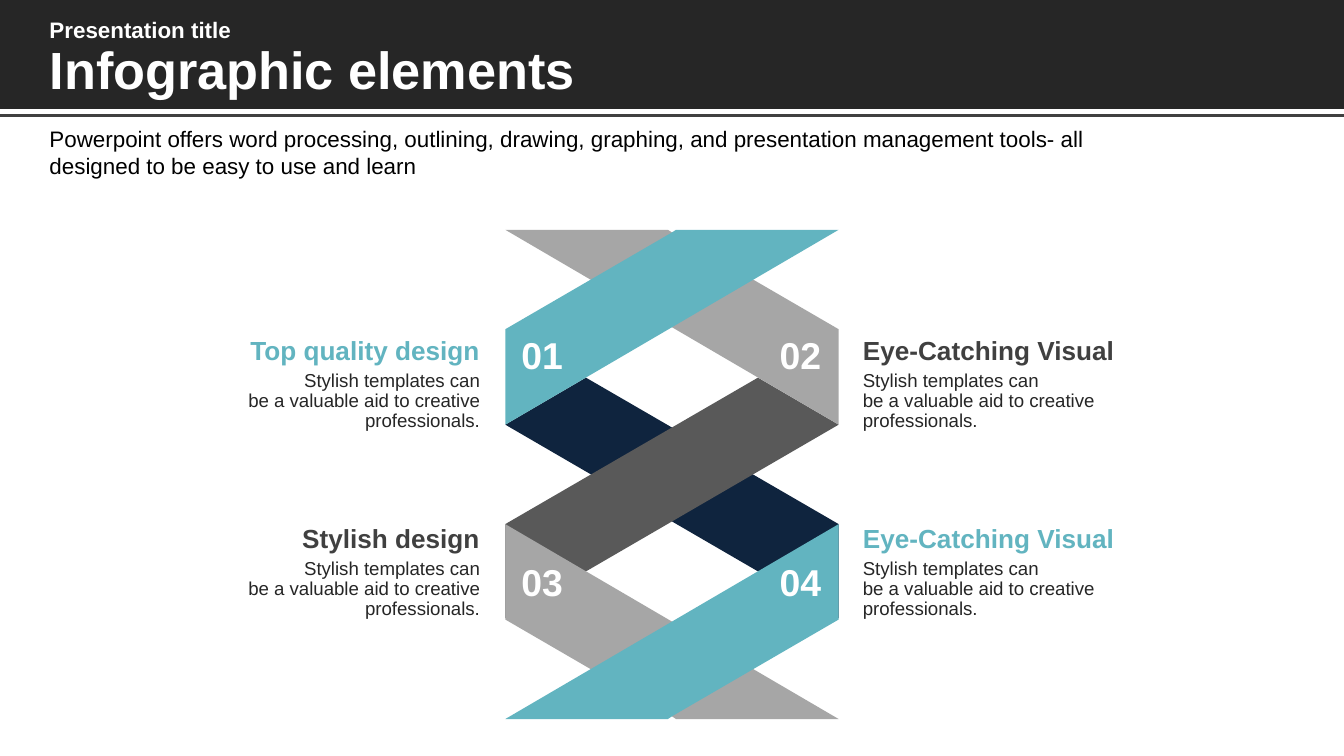
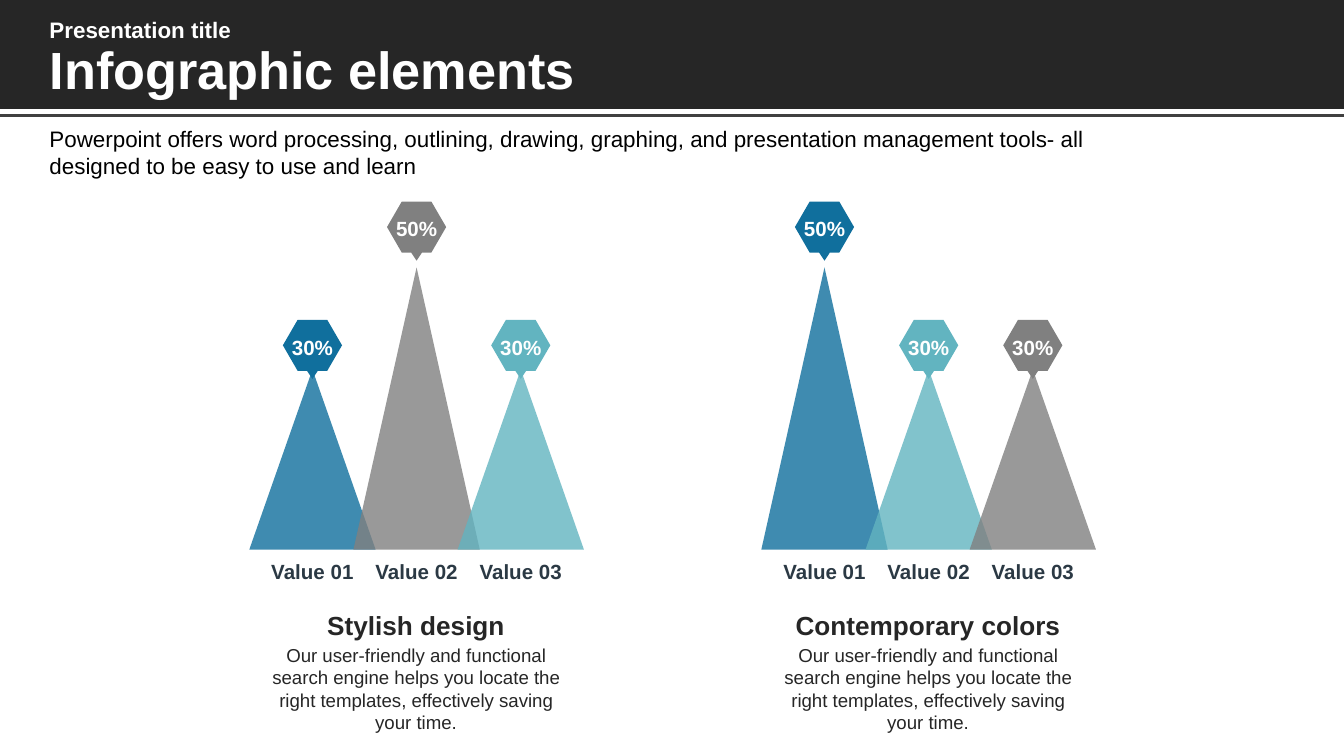
"""Build two infographic slides: a woven ribbon and a pair of peak charts."""
import pptx
import pptx.dml.color
import pptx.enum.shapes
import pptx.enum.text
import pptx.oxml.ns
import pptx.util
from lxml import etree

Inches = pptx.util.Inches
Align = pptx.enum.text.PP_ALIGN
Shape = pptx.enum.shapes.MSO_SHAPE
qn = pptx.oxml.ns.qn

FONT = "Arial"
HUES = {
    "white": "FFFFFF", "black": "000000", "ink": "262626", "slate": "404040",
    "steel": "2B3944", "navy": "0F243E", "stone": "595959", "silver": "A6A6A6",
    "gray": "808080", "teal": "62B4C0", "blue": "106F9D",
}
INTRO = ("Powerpoint offers word processing, outlining, drawing, graphing, and "
         "presentation management tools- all designed to be easy to use and learn")
CLAIM = "Stylish templates can\nbe a valuable aid to creative professionals."
STORY = ("Our user-friendly and functional search engine helps you locate the "
         "right templates, effectively saving your time.")

TOP_ARM = [(5, 1.73), (5.03, 1.71), (6.24, 1.71), (3.76, 3.16), (3.76, 2.45)]
MID_ARM = [(5.64, 2.81), (6.24, 3.16), (3.76, 4.6), (3.76, 3.9)]
PIN = [(-0.11, 0), (0.11, 0), (0.22, 0.19), (0.11, 0.38), (0.04, 0.38),
       (0, 0.44), (-0.04, 0.38), (-0.11, 0.38), (-0.22, 0.19)]
BASE = 4.09
PEAKS = {30: (1.34, 2.38), 50: (2.1, 1.5)}


def color(name):
    """Return the named colour."""
    return pptx.dml.color.RGBColor.from_string(HUES[name])


def write(shape, words, size=10, hue="ink", bold=False, align=Align.LEFT,
          space=1.0, inset=(0, 0)):
    """Fill a shape with text, one paragraph for each line."""
    frame = shape.text_frame
    frame.word_wrap = True
    frame.auto_size = pptx.enum.text.MSO_AUTO_SIZE.NONE
    frame.vertical_anchor = pptx.enum.text.MSO_ANCHOR.TOP
    frame.margin_left = frame.margin_right = Inches(inset[0])
    frame.margin_top = frame.margin_bottom = Inches(inset[1])
    frame.text = words
    for para in frame.paragraphs:
        para.alignment = align
        para.line_spacing = space
        para.space_before = pptx.util.Pt(0)
        for run in para.runs:
            run.font.name = FONT
            run.font.size = pptx.util.Pt(size)
            run.font.bold = bold
            run.font.color.rgb = color(hue)


def label(slide, box, words, **style):
    """Add a text box."""
    write(slide.shapes.add_textbox(*map(Inches, box)), words, **style)


def paint(shape, hue, alpha=None):
    """Give a shape a plain fill, opaque or partly clear."""
    shape.shadow.inherit = False
    shape.line.fill.background()
    shape.fill.solid()
    shape.fill.fore_color.rgb = color(hue)
    if alpha:
        tint = shape.element.spPr.find(qn("a:solidFill"))[0]
        etree.SubElement(tint, qn("a:alpha")).set("val", str(alpha * 1000))


def block(slide, kind, box, hue, alpha=None):
    """Add a preset shape."""
    shape = slide.shapes.add_shape(kind, *map(Inches, box))
    paint(shape, hue, alpha)
    return shape


def outline(slide, points, hue):
    """Add a closed polygon."""
    spots = [(Inches(x), Inches(y)) for x, y in points]
    pen = slide.shapes.build_freeform(*spots[0])
    pen.add_line_segments(spots[1:], close=True)
    paint(pen.convert_to_shape(), hue)


def rule(slide, top, hue, width):
    """Add a level line across the slide."""
    line = slide.shapes.add_connector(
        pptx.enum.shapes.MSO_CONNECTOR.STRAIGHT,
        Inches(0), Inches(top), Inches(10), Inches(top))
    line.line.color.rgb = color(hue)
    line.line.width = pptx.util.Pt(width)
    etree.SubElement(line.element.spPr, qn("a:effectLst"))
    return line


def band(slide):
    """Draw the header band and move it to the shared layout."""
    parts = [
        rule(slide, 0.85, "white", 3),
        block(slide, Shape.RECTANGLE, (0, 0, 10, 0.81), "ink"),
        rule(slide, 0.86, "slate", 1.5),
    ]
    for spot, part in enumerate(parts, 2):
        slide.slide_layout.shapes.element.insert(spot, part.element)


def start(deck):
    """Add a slide with its title, top line and intro."""
    slide = deck.slides.add_slide(deck.slide_layouts[5])
    title = slide.shapes.title
    title.left, title.top, title.width, title.height = map(
        Inches, (0.27, 0.23, 8.6, 0.61))
    pad = (0.1, 0.05)
    write(title, "Infographic elements", size=28, hue="white", bold=True,
          inset=pad)
    label(slide, (0.27, 0.07, 8.6, 0.36), "Presentation title", size=12,
          hue="white", bold=True, inset=pad)
    label(slide, (0.27, 0.88, 8.2, 0.51), INTRO, size=12, hue="black", inset=pad)
    return slide


def flip(points, across=False, down=False):
    """Mirror points about the ribbon's centre lines."""
    return [(10 - x if across else x, 7.06 - y if down else y) for x, y in points]


def weave(slide):
    """Draw the six ribbon arms from back to front."""
    outline(slide, flip(MID_ARM, across=True), "navy")
    outline(slide, MID_ARM, "stone")
    outline(slide, flip(TOP_ARM, down=True), "silver")
    outline(slide, flip(TOP_ARM, across=True, down=True), "teal")
    outline(slide, flip(TOP_ARM, across=True), "silver")
    outline(slide, TOP_ARM, "teal")


def point(slide, index, head, hue):
    """Add one numbered point beside the ribbon."""
    row, col = divmod(index, 2)
    top = 2.49 + 1.4 * row
    left = (1.49, 6.42)[col]
    side = (Align.RIGHT, Align.LEFT)[col]
    label(slide, (left, top, 2.08, 0.24), head, size=14, hue=hue, bold=True,
          align=side)
    label(slide, (left, top + 0.27, 2.08, 0.45), CLAIM, align=side, space=0.9)
    label(slide, (3.88 + 1.7 * col, 2.47 + 1.69 * row, 0.53, 0.34),
          f"{index + 1:02}", size=20, hue="white", bold=True,
          align=(Align.LEFT, Align.RIGHT)[col])


def peaks(slide, mid, head, bars):
    """Add a group of peaks with pins, labels and a caption."""
    spots = [mid + 1.55 / 2 * step for step in (-1, 0, 1)]
    for x, (value, hue) in zip(spots, bars):
        tall = PEAKS[value][0]
        block(slide, Shape.ISOSCELES_TRIANGLE,
              (x - 0.47, BASE - tall, 0.94, tall), hue, 80)
    mark = dict(size=11, bold=True, align=Align.CENTER)
    for num, (x, (value, hue)) in enumerate(zip(spots, bars), 1):
        top = PEAKS[value][1]
        outline(slide, [(x + dx, top + dy) for dx, dy in PIN], hue)
        label(slide, (x - 0.19, top + 0.11, 0.38, 0.19), f"{value}%",
              hue="white", **mark)
        label(slide, (x - 0.38, 4.16, 0.76, 0.19), f"Value {num:02}",
              hue="steel", **mark)
    label(slide, (mid - 1.23, 4.56, 2.45, 0.21), head, size=14, bold=True,
          align=Align.CENTER, space=0.9)
    label(slide, (mid - 1.15, 4.79, 2.29, 0.67), STORY, align=Align.CENTER)


def main():
    """Build and save the deck."""
    deck = pptx.Presentation()
    deck.slide_width = Inches(10)
    deck.slide_height = Inches(10 * 9 / 16)

    slide = start(deck)
    weave(slide)
    heads = [("Top quality design", "teal"), ("Eye-Catching Visual", "slate"),
             ("Stylish design", "slate"), ("Eye-Catching Visual", "teal")]
    for index, (head, hue) in enumerate(heads):
        point(slide, index, head, hue)
    band(slide)

    slide = start(deck)
    peaks(slide, 3.1, "Stylish design",
          [(30, "blue"), (50, "gray"), (30, "teal")])
    peaks(slide, 6.91, "Contemporary colors",
          [(50, "blue"), (30, "teal"), (30, "gray")])

    deck.save("out.pptx")


if __name__ == "__main__":
    main()
